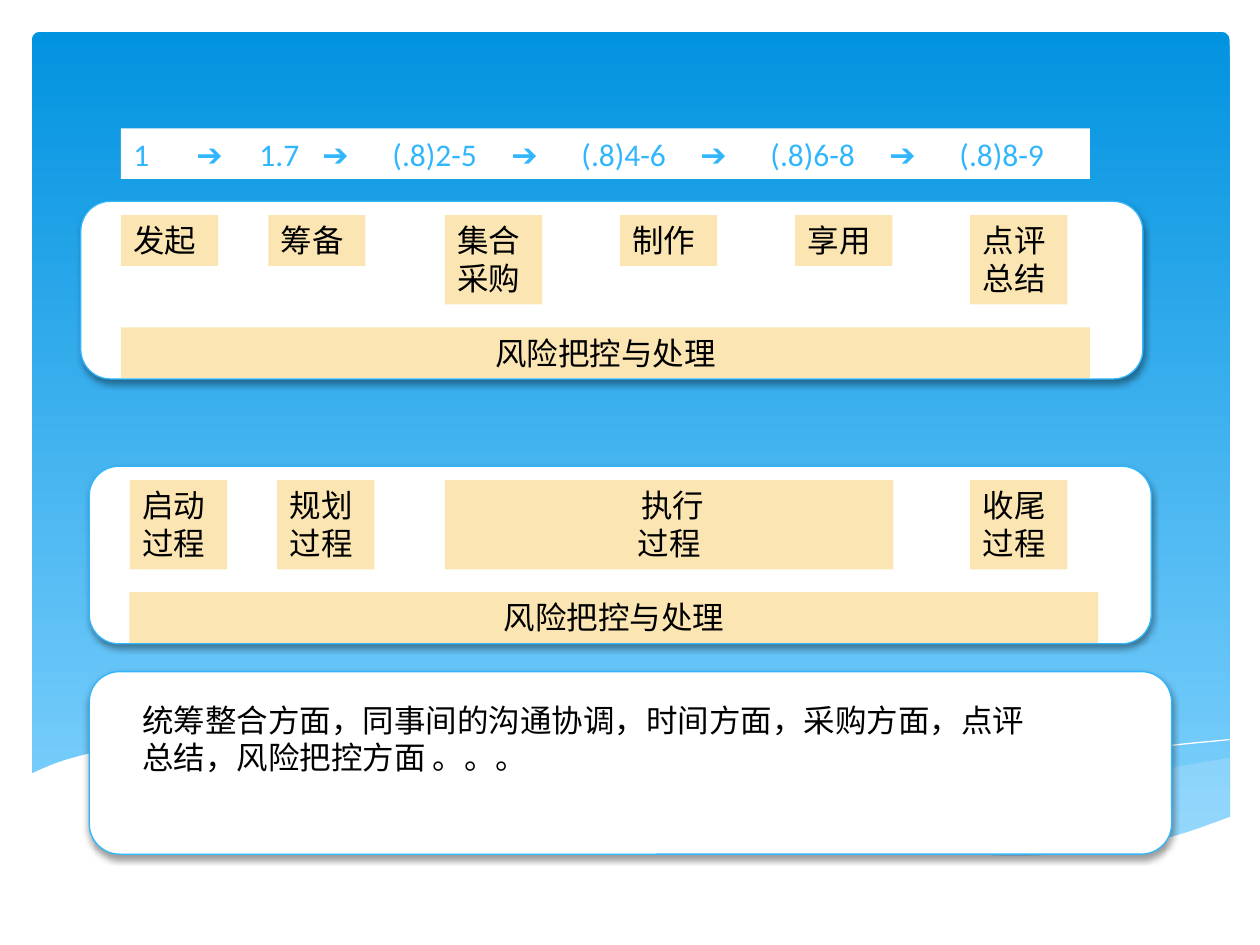
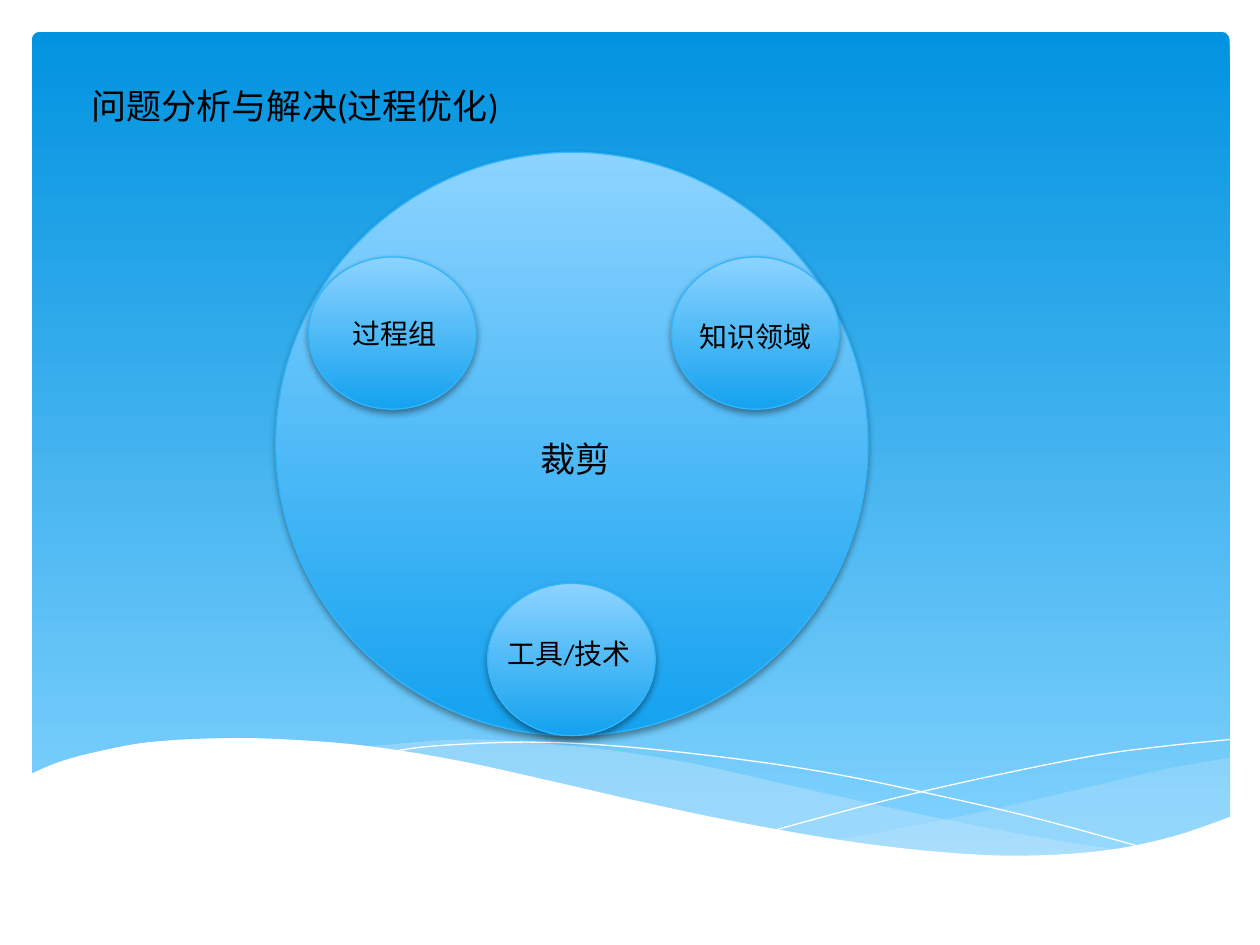
from dataclasses import dataclass

from lxml.etree import SubElement
from pptx import Presentation
from pptx.dml.color import RGBColor as RGB
from pptx.enum.shapes import MSO_SHAPE as SHAPE
from pptx.enum.text import MSO_AUTO_SIZE as AUTO, PP_ALIGN as ALIGN
from pptx.oxml.ns import qn
from pptx.util import Cm, Pt


@dataclass(frozen=True)
class Theme:
    """Colours, fonts and type sizes shared by the slides."""
    sky: tuple = ("0293E0", "83D3FE")
    disc: tuple = ("8CD3FF", "14A2EF")
    mist: str = "C6E7FC"
    white: str = "FFFFFF"
    blue: str = "31B6FD"
    sand: str = "FBE6B3"
    ink: str = "000000"
    font: str = "Calibri"
    arrow_font: str = "Arial"
    title: int = 20
    body: int = 18
    small: int = 16


T = Theme()

RIGHT_WAVE = [
    [(24.82, 15.27), (23.42, 15.52), (21.89, 15.88), (19.81, 16.36),
     (17.96, 16.74), (16.81, 16.94)],
    [(16.81, 16.94), (18.26, 17.12), (19.86, 17.25), (21.46, 17.25),
     (22.81, 17.07), (23.8, 16.84), (24.82, 16.48)],
]
LEFT_WAVE = [
    [(22.71, 17.15), (21.29, 16.94), (18.85, 16.48), (16, 15.85),
     (14.1, 15.42), (12.42, 15.14), (10.67, 14.96), (9.19, 14.91),
     (7.29, 15.06)],
    [(7.29, 15.06), (9.22, 15.34), (11.43, 15.85), (14.4, 16.51),
     (16.54, 16.92), (18.36, 17.17), (20.24, 17.27), (21.56, 17.25),
     (22.71, 17.15)],
]
FALLING_LINE = [
    [(7.87, 15.16), (8.74, 15.04), (10.59, 14.96), (12.42, 15.04),
     (14.78, 15.29), (16.92, 15.62), (19.33, 16.13), (21.13, 16.56),
     (23.06, 17.09)],
]
RISING_LINE = [
    [(15.6, 16.74), (17.68, 16.18), (19.74, 15.7), (22.02, 15.24),
     (23.5, 15.04), (24.79, 14.91)],
]
WHITE_WAVE = [
    [(24.82, 16.46), (23.62, 16.87), (22.23, 17.15), (20.55, 17.25),
     (18.9, 17.17), (16.97, 16.94), (14.71, 16.54), (12.78, 16.13),
     (11.35, 15.8), (9.27, 15.34), (7.42, 15.04), (5.84, 14.91),
     (4.5, 14.88), (3.02, 14.96), (1.93, 15.16), (1.17, 15.37),
     (0.58, 15.62)],
    [(0.58, 18.57), (24.82, 18.57)],
]


def smooth(points, steps=5):
    """Return a Catmull-Rom curve through the points."""
    padded = [points[0], *points, points[-1]]
    curve = [points[0]]
    for a, b, c, d in zip(padded, padded[1:], padded[2:], padded[3:]):
        for step in range(1, steps + 1):
            t = step / steps
            curve.append(tuple(
                (2 * q + (r - p) * t + (2 * p - 5 * q + 4 * r - s) * t ** 2
                 + (3 * q - p - 3 * r + s) * t ** 3) / 2
                for p, q, r, s in zip(a, b, c, d)))
    return curve


def add_curve(slide, edges, color=None, alpha=100):
    """Draw smooth edges as a filled wave, or as a white hairline."""
    points = []
    for edge in edges:
        points += smooth(edge) if len(edge) > 2 else edge
    start, *rest = [(Cm(x), Cm(y)) for x, y in points]
    builder = slide.shapes.build_freeform(*start)
    builder.add_line_segments(rest, close=color is not None)
    sp = builder.convert_to_shape()
    sp.shadow.inherit = False
    if color is None:
        sp.fill.background()
        sp.line.color.rgb = RGB.from_string(T.white)
        sp.line.width = Pt(0)
        return
    paint(sp, color)
    sp.line.fill.background()
    if alpha < 100:
        clr = next(sp.fill._xPr.iter(qn("a:srgbClr")))
        SubElement(clr, qn("a:alpha"), val=str(alpha * 1000))


def paint(sp, fill):
    """Fill a shape with one colour or a top-down pair of colours."""
    if isinstance(fill, str):
        sp.fill.solid()
        sp.fill.fore_color.rgb = RGB.from_string(fill)
        return
    sp.fill.gradient()
    sp.fill.gradient_angle = 270
    for stop, color in zip(sp.fill.gradient_stops, fill):
        stop.color.rgb = RGB.from_string(color)


def add_preset(slide, kind, box, fill):
    """Add a preset shape without a shadow."""
    sp = slide.shapes.add_shape(kind, *map(Cm, box))
    sp.shadow.inherit = False
    paint(sp, fill)
    return sp


def add_raised(slide, kind, box, fill):
    """Add a blue-edged shape with a soft shadow below it."""
    sp = add_preset(slide, kind, box, fill)
    sp.line.color.rgb = RGB.from_string(T.blue)
    sp.line.width = Pt(0.75)
    effects = sp._element.spPr.find(qn("a:effectLst"))
    shadow = SubElement(effects, qn("a:outerShdw"), blurRad=str(Pt(4)),
                        dist=str(Pt(2)), dir="5400000", rotWithShape="0")
    clr = SubElement(shadow, qn("a:srgbClr"), val=T.ink)
    SubElement(clr, qn("a:alpha"), val="38000")


def add_label(slide, box, text, size=T.body, align=ALIGN.LEFT, fill=None):
    """Add a text box, on a colour if one is given, and return its frame."""
    sp = slide.shapes.add_textbox(*map(Cm, box))
    if fill:
        paint(sp, fill)
    tf = sp.text_frame
    tf.word_wrap = True
    tf.auto_size = AUTO.SHAPE_TO_FIT_TEXT
    tf.text = text
    for p in tf.paragraphs:
        p.alignment = align
        p.font.size = Pt(size)
        p.font.name = T.font
        p.font.color.rgb = RGB.from_string(T.ink)
    return tf


def add_timeline(slide, box, stages):
    """Add the white band of hours joined by arrows."""
    p = add_label(slide, box, "", fill=T.white).paragraphs[0]
    p.font.color.rgb = RGB.from_string(T.blue)
    for i, stage in enumerate(stages):
        last = i == len(stages) - 1
        p.add_run().text = stage if last else f"{stage} \t"
        if not last:
            r = p.add_run()
            r.text = "➔ \t"
            r.font.name = T.arrow_font


def add_process_panel(slide, left, top, tags):
    """Add a panel of process tags above a risk band."""
    add_raised(slide, SHAPE.ROUNDED_RECTANGLE, (left, top, 21.41, 3.58), T.white)
    for x, width, height, text, align in tags:
        add_label(slide, (x, top + 0.28, width, height), text,
                  align=align, fill=T.sand)
    add_label(slide, (left + 0.81, top + 2.54, 19.53, 1.02), "风险把控与处理",
              align=ALIGN.CENTER, fill=T.sand)


def add_backdrop(prs, crossing_line):
    """Add a slide with the sky and waves."""
    slide = prs.slides.add_slide(prs.slide_layouts[6])
    sky = add_preset(slide, SHAPE.ROUNDED_RECTANGLE,
                     (0.64, 0.64, 24.15, 16.76), T.sky)
    sky.adjustments[0] = 0.01
    sky.line.fill.background()
    add_curve(slide, RIGHT_WAVE, T.mist, 29)
    add_curve(slide, LEFT_WAVE, T.mist, 40)
    if crossing_line:
        add_curve(slide, FALLING_LINE)
    add_curve(slide, RISING_LINE)
    add_curve(slide, WHITE_WAVE, T.white)
    return slide


def build_process_slide(prs):
    """Build the slide that maps steps to process groups."""
    slide = add_backdrop(prs, crossing_line=False)
    tag_w, low, tall = 1.96, 1.02, 1.8
    columns = [8.97 + 3.53 * i for i in range(4)]
    steps = ["发起", "筹备", "集合\n采购", "制作", "享用", "点评总结"]
    add_process_panel(slide, 1.63, 4.06, [
        (x, tag_w, tall if len(text) > 2 else low, text, ALIGN.LEFT)
        for x, text in zip([2.44, 5.41, *columns], steps)])
    add_timeline(slide, (2.44, 2.59, 19.53, low),
                 ["1", "1.7", " (.8)2-5", " (.8)4-6", " (.8)6-8", " (.8)8-9"])
    add_process_panel(slide, 1.8, 9.4, [
        (2.62, tag_w, tall, "启动过程", ALIGN.LEFT),
        (5.59, tag_w, tall, "规划过程", ALIGN.LEFT),
        (columns[0], 9.04, tall, " 执行\n过程", ALIGN.CENTER),
        (columns[3], tag_w, tall, "收尾过程", ALIGN.LEFT)])
    add_raised(slide, SHAPE.ROUNDED_RECTANGLE, (1.8, 13.54, 21.82, 3.68), T.white)
    add_label(slide, (2.62, 14, 18.54, tall),
              "统筹整合方面，同事间的沟通协调，时间方面，采购方面，"
              "点评总结，风险把控方面 。。。")


def build_tailoring_slide(prs):
    """Build the slide of three discs inside the tailoring circle."""
    slide = add_backdrop(prs, crossing_line=True)
    add_label(slide, (1.6, 1.57, 11.94, 1.12), "问题分析与解决(过程优化)", T.title)
    add_raised(slide, SHAPE.OVAL, (5.56, 3.07, 11.94, 11.76), T.disc)
    add_label(slide, (9.02, 8.69, 5.16, 1.14), "裁剪", T.title, ALIGN.CENTER)
    discs = [
        (6.22, 5.18, "过程组", (6.32, 6.25, 3.28, 0.94)),
        (9.83, 11.76, "工具/技术", (9.75, 12.7, 3.45, 0.94)),
        (13.54, 5.18, "知识领域", (13.54, 6.32, 3.38, 0.94)),
    ]
    for left, top, text, label_box in discs:
        add_raised(slide, SHAPE.OVAL, (left, top, 3.38, 3.07), T.disc)
        add_label(slide, label_box, text, T.small, ALIGN.CENTER)


def main():
    """Build and save the presentation."""
    prs = Presentation()
    prs.slide_width, prs.slide_height = Cm(25.4), Cm(19.05)
    build_process_slide(prs)
    build_tailoring_slide(prs)
    prs.save("out.pptx")


if __name__ == "__main__":
    main()
